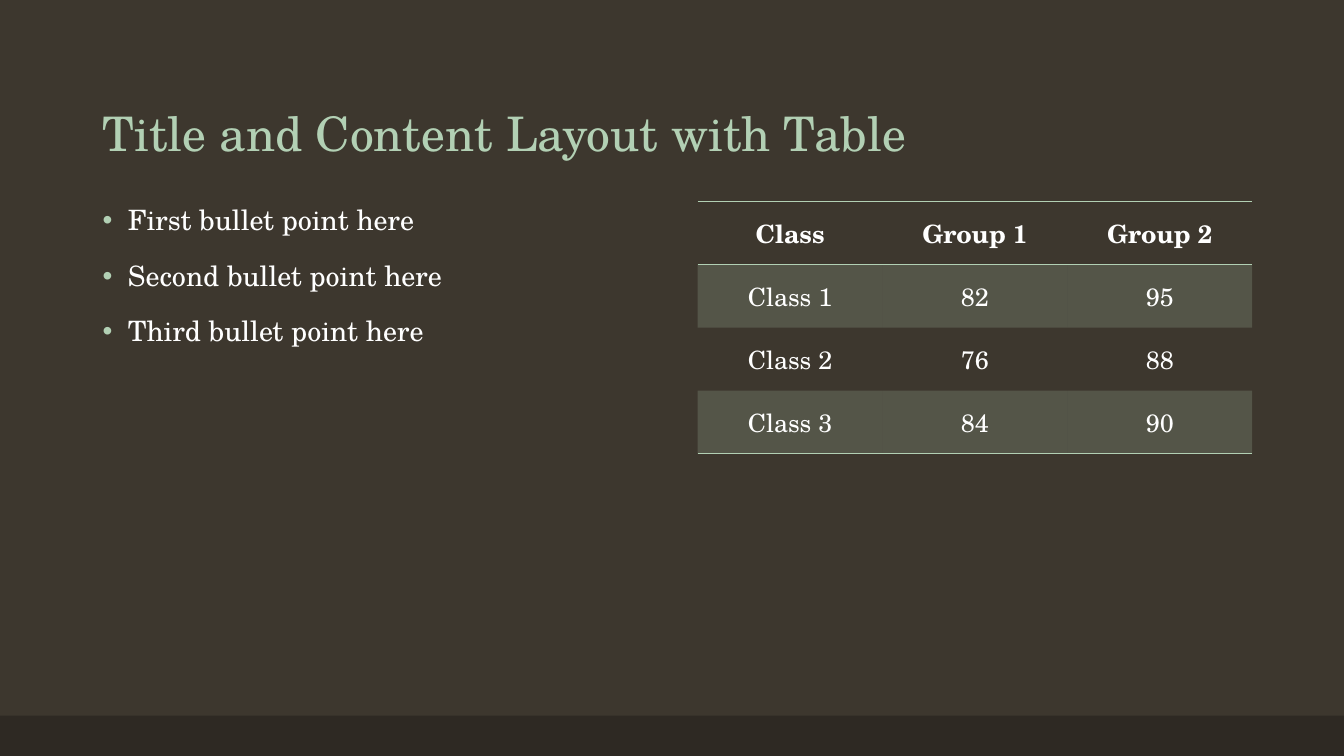
from lxml import etree
from pptx import Presentation
from pptx.dml.color import RGBColor
from pptx.enum.shapes import MSO_SHAPE
from pptx.enum.text import MSO_ANCHOR as ANCHOR, PP_ALIGN as ALIGN
from pptx.oxml.ns import qn
from pptx.util import Inches, Pt

FONT = "TeX Gyre Schola"
BROWN, DARK, GREEN, WHITE = "3D372E", "2E2923", "B2D0B4", "FFFFFF"
BULLETS = ["First bullet point here", "Second bullet point here",
           "Third bullet point here"]
SCORES = [["Class", "Group 1", "Group 2"],
          ["Class 1", "82", "95"],
          ["Class 2", "76", "88"],
          ["Class 3", "84", "90"]]


def rgb(value):
    return RGBColor.from_string(value)


def add_text(p, text, size=18, color=WHITE, bold=False, align=None,
             spacing=None, before=None):
    r = p.add_run()
    r.text = text
    r.font.name = FONT
    r.font.size = Pt(size)
    r.font.bold = bold
    r.font.color.rgb = rgb(color)
    p.alignment = align
    p.line_spacing = spacing
    if before is not None:
        p.space_before = Pt(before)


def add_box(s, box, anchor=ANCHOR.TOP):
    tf = s.shapes.add_textbox(*map(Inches, box)).text_frame
    tf.word_wrap = True
    tf.vertical_anchor = anchor
    return tf


def set_bullet(p, color, char="•", indent=0.25):
    pPr = p._p.get_or_add_pPr()
    pPr.set("marL", str(Inches(indent)))
    pPr.set("indent", str(-Inches(indent)))
    clr = etree.SubElement(pPr, qn("a:buClr"))
    etree.SubElement(clr, qn("a:srgbClr"), val=color)
    etree.SubElement(pPr, qn("a:buFont"), typeface="Arial")
    etree.SubElement(pPr, qn("a:buChar"), char=char)


def set_border(cell, side, color=None):
    tcPr = cell._tc.get_or_add_tcPr()
    ln = etree.SubElement(tcPr, qn(f"a:ln{side}"), w=str(Pt(1)))
    if color:
        fill = etree.SubElement(ln, qn("a:solidFill"))
        etree.SubElement(fill, qn("a:srgbClr"), val=color)
    else:
        etree.SubElement(ln, qn("a:noFill"))


def set_fill(cell, color=None, alpha=20):
    if not color:
        cell.fill.background()
        return
    cell.fill.solid()
    cell.fill.fore_color.rgb = rgb(color)
    clr = cell._tc.tcPr.find(".//" + qn("a:solidFill") + "[last()]/"
                             + qn("a:srgbClr"))
    for solid in cell._tc.tcPr.findall(qn("a:solidFill")):
        clr = solid.find(qn("a:srgbClr"))
    etree.SubElement(clr, qn("a:alpha"), val=str(alpha * 1000))


def add_footer_band(s, box):
    sp = s.shapes.add_shape(MSO_SHAPE.RECTANGLE, *map(Inches, box))
    sp.shadow.inherit = False
    sp.fill.solid()
    sp.fill.fore_color.rgb = rgb(DARK)
    sp.line.fill.background()


def add_title(s, box, text):
    tf = add_box(s, box, ANCHOR.BOTTOM)
    add_text(tf.paragraphs[0], text, size=34, color=GREEN, spacing=0.9)


def add_bullets(s, box, items):
    tf = add_box(s, box)
    for i, item in enumerate(items):
        p = tf.add_paragraph() if i else tf.paragraphs[0]
        add_text(p, item, size=20, spacing=0.9, before=18)
        set_bullet(p, GREEN)


def add_score_table(s, box, rows):
    n = len(rows)
    table = s.shapes.add_table(n, len(rows[0]), *map(Inches, box)).table
    table.first_row = table.horz_banding = False
    ruled = {0, 1, n}  # horizontal edges that carry a line
    for i, row in enumerate(rows):
        for j, text in enumerate(row):
            cell = table.cell(i, j)
            cell.vertical_anchor = ANCHOR.MIDDLE
            add_text(cell.text_frame.paragraphs[0], text, bold=i == 0,
                     align=ALIGN.CENTER)
            set_border(cell, "L")
            set_border(cell, "R")
            set_border(cell, "T", GREEN if i in ruled else None)
            set_border(cell, "B", GREEN if i + 1 in ruled else None)
            set_fill(cell, GREEN if i % 2 else None)


def main():
    prs = Presentation()
    prs.slide_width, prs.slide_height = Inches(13.33), Inches(7.5)
    s = prs.slides.add_slide(prs.slide_layouts[6])
    s.background.fill.solid()
    s.background.fill.fore_color.rgb = rgb(BROWN)

    add_footer_band(s, (0, 7.1, 13.33, 0.4))
    add_title(s, (0.92, 0.4, 11.5, 1.25), "Title and Content Layout with Table")
    add_bullets(s, (0.92, 2, 5.5, 4.76), BULLETS)
    add_score_table(s, (6.92, 2, 5.5, 2.5), SCORES)
    prs.save("out.pptx")


if __name__ == "__main__":
    main()
